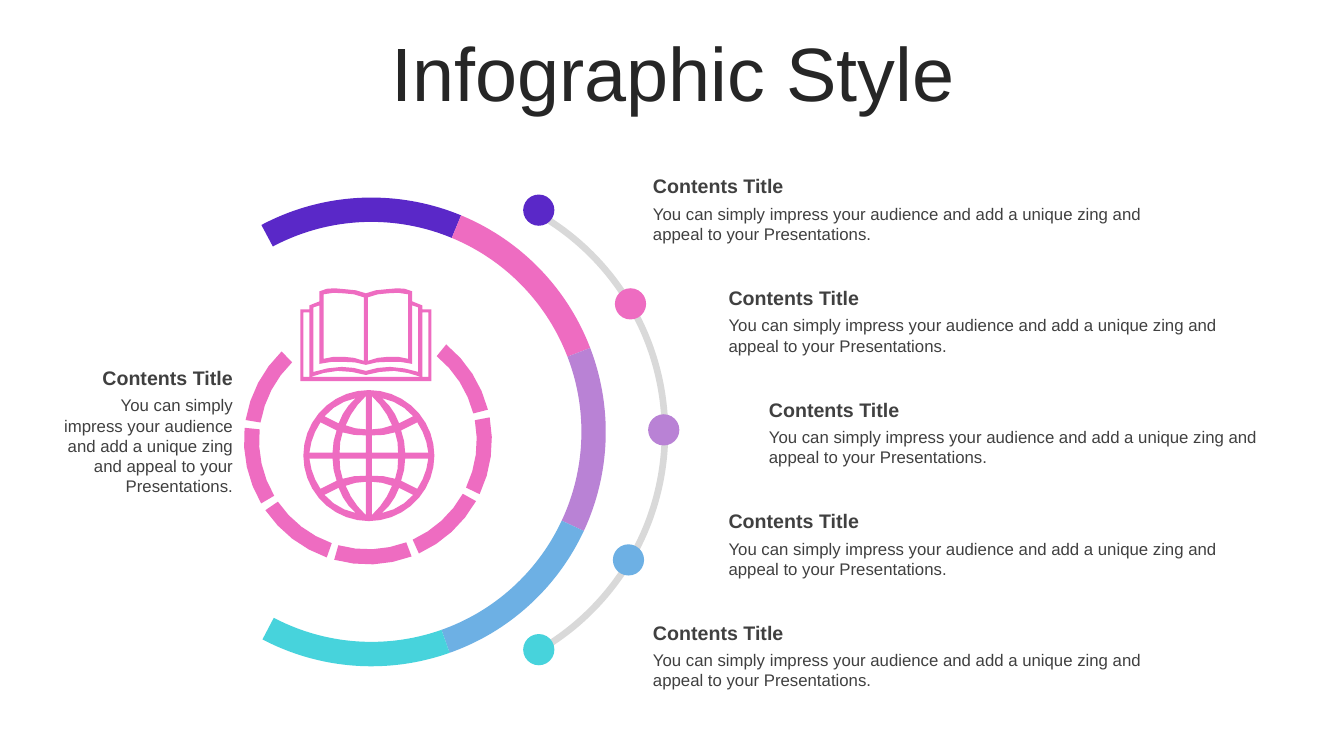
from dataclasses import dataclass
from math import cos, hypot, radians, sin

from pptx import Presentation
from pptx.dml.color import RGBColor
from pptx.enum import shapes, text
from pptx.util import Inches, Pt


@dataclass(frozen=True)
class Theme:
    font: str = "Arial"
    title: str = "262626"
    body: str = "404040"
    track: str = "D9D9D9"
    accents: tuple = ("5A28C8", "EE6CC1", "B982D5", "6DB0E4", "47D3DC")
    icon: str = "EE6CC1"
    title_size: int = 54
    heading_size: int = 14
    body_size: int = 12


def bend(points, closed=True):
    ends = points[1:] + points[:1] if closed else points[1:]
    result = []
    for (x, y, bulge), (nx, ny, _) in zip(points, ends):
        dx, dy = nx - x, ny - y
        steps = 1 if not bulge else 2 if abs(bulge) < 0.02 else 3
        for i in range(steps):
            t = i / steps
            off = 4 * t * (1 - t) * bulge / hypot(dx, dy)
            result.append((x + t * dx + off * dy, y + t * dy - off * dx))
    return result if closed else result + [points[-1][:2]]


def flip(points, sx, sy=1):
    return [(sx * x, sy * y) for x, y in points]


def symmetric(half):
    right = bend(half, closed=False)
    left = [point for point in flip(right, -1)[::-1] if point[0]]
    return right + left


def arc(radius, start, end, steps):
    angles = [radians(start + (end - start) * i / steps) for i in range(steps + 1)]
    return [(radius * cos(a), radius * sin(a)) for a in angles]


class Deck:
    def __init__(self, theme):
        self.theme = theme
        self.prs = Presentation()
        self.prs.slide_width, self.prs.slide_height = Inches(40 / 3), Inches(7.5)
        self.s = self.prs.slides.add_slide(self.prs.slide_layouts[6])

    def paint(self, sp, color):
        sp.shadow.inherit = False
        sp.fill.solid()
        sp.fill.fore_color.rgb = RGBColor.from_string(color)
        sp.line.fill.background()

    def shape(self, kind, box, color, adjustments=()):
        sp = self.s.shapes.add_shape(kind, *map(Inches, box))
        for i, value in enumerate(adjustments):
            sp.adjustments[i] = value
        self.paint(sp, color)

    def block_arc(self, box, start, end, thickness, color):
        self.shape(shapes.MSO_SHAPE.BLOCK_ARC, box, color,
                   (start * 0.6, end * 0.6, thickness))

    def outline(self, center, contours, color):
        cx, cy = center
        placed = [[(Inches(cx + x), Inches(cy + y)) for x, y in c] for c in contours]
        builder = self.s.shapes.build_freeform(*placed[0][0])
        for i, points in enumerate(placed):
            if i:
                builder.move_to(*points[0])
            builder.add_line_segments(points[1:], close=True)
        self.paint(builder.convert_to_shape(), color)

    def text(self, words, box, frame=None, para=None, **font):
        tf = self.s.shapes.add_textbox(*map(Inches, box)).text_frame
        p = tf.paragraphs[0]
        r = p.add_run()
        r.text = words
        color = font.pop("color", self.theme.body)
        r.font.color.rgb = RGBColor.from_string(color)
        formats = (
            (tf, {"word_wrap": True, **(frame or {})}),
            (p, para or {}),
            (r.font, {"name": self.theme.font, **font}),
        )
        for target, values in formats:
            for name, value in values.items():
                setattr(target, name, value)

    def content(self, left, top, width, height, align):
        frame = {"auto_size": text.MSO_AUTO_SIZE.SHAPE_TO_FIT_TEXT}
        para = {"alignment": align}
        self.text("You can simply impress your audience and add a unique zing "
                  "and appeal to your Presentations.",
                  (left, top + 0.29, width, height), frame, para,
                  size=Pt(self.theme.body_size))
        self.text("Contents Title", (left, top, width, 0.34), frame, para,
                  size=Pt(self.theme.heading_size), bold=True)

    def book(self):
        cover = [(0, 0.05, 0.01), (0.2, 0.01, 0), (0.31, 0, 0.01), (0.46, 0.03, 0),
                 (0.46, 0.13, 0), (0.56, 0.17, 0), (0.56, 0.21, 0), (0.65, 0.21, 0),
                 (0.65, 0.92, 0)]
        sheets = [(0, 0.76, 0.01), (0.22, 0.73, 0.01), (0.46, 0.75, 0), (0.46, 0.17, 0),
                  (0.52, 0.19, 0), (0.52, 0.83, -0.01), (0.24, 0.78, -0.01), (0, 0.82, 0)]
        base = [(0, 0.86, 0.01), (0.28, 0.82, 0.01), (0.55, 0.88, 0)]
        page = [(0.02, 0.09, 0.01), (0.22, 0.05, 0.01), (0.42, 0.06, 0),
                (0.42, 0.7, -0.01), (0.22, 0.68, -0.01), (0.02, 0.72, 0)]
        edge = [(0.56, 0.24, 0), (0.56, 0.88, 0), (0.62, 0.88, 0), (0.62, 0.24, 0)]
        holes = [flip(bend(h), sx) for h in (page, edge) for sx in (1, -1)]
        self.outline((3.63, 2.86), [symmetric(c) for c in (cover, sheets, base)] + holes,
                     self.theme.icon)

    def globe(self):
        windows = (
            [(0.59, -0.03, -0.02), (0.48, -0.33, 0), (0.32, -0.25, 0.01), (0.36, -0.03, 0)],
            [(0.03, -0.03, 0), (0.29, -0.03, -0.01), (0.26, -0.23, 0.01), (0.03, -0.2, 0)],
            [(0.03, -0.59, 0.02), (0.23, -0.3, 0.01), (0.03, -0.26, 0)],
            [(0.3, -0.32, 0), (0.44, -0.39, -0.03), (0.13, -0.57, 0.02)],
        )
        holes = [flip(bend(w), sx, sy) for w in windows for sx in (1, -1) for sy in (1, -1)]
        self.outline((3.66, 4.52), [arc(0.65, 0, 350, 35)] + holes, self.theme.icon)

    def dashed_ring(self):
        for i in range(7):
            start = -50.8 + 40.05 * i
            end = start + 36.4
            dash = arc(1.23, start, end, 4) + arc(1.08, end, start, 4)
            self.outline((3.65, 4.37), [dash], self.theme.icon)


def main():
    theme = Theme()
    deck = Deck(theme)
    deck.text("Infographic Style", (0.35, 0.37, 12.66, 0.79),
              {"vertical_anchor": text.MSO_ANCHOR.MIDDLE},
              {"alignment": text.PP_ALIGN.CENTER, "line_spacing": 0.9},
              size=Pt(theme.title_size), color=theme.title)

    deck.block_arc((1.57, 1.76, 5.06, 5.06), 299.9, 60.5, 0.013, theme.track)
    dots = ((5.19, 1.93), (6.1, 2.86), (6.43, 4.11), (6.08, 5.4), (5.19, 6.29))
    for dot, color in zip(dots, theme.accents):
        deck.shape(shapes.MSO_SHAPE.OVAL, (*dot, 0.31, 0.31), color)

    for i, left in enumerate((6.38, 7.13, 7.53, 7.13, 6.38)):
        deck.content(left, 1.68 + 4.43 * i / 4, 5.06, 0.5, text.PP_ALIGN.LEFT)
    deck.content(0.52, 3.58, 1.89, 1.11, text.PP_ALIGN.RIGHT)

    bounds = (242, 292.5, 339, 25, 70.5, 117.7)
    for start, end, color in zip(bounds, bounds[1:], theme.accents):
        deck.block_arc((1.36, 1.96, 4.65, 4.65), start, end, 0.052, color)

    deck.book()
    deck.globe()
    deck.dashed_ring()
    deck.prs.save("out.pptx")


if __name__ == "__main__":
    main()
